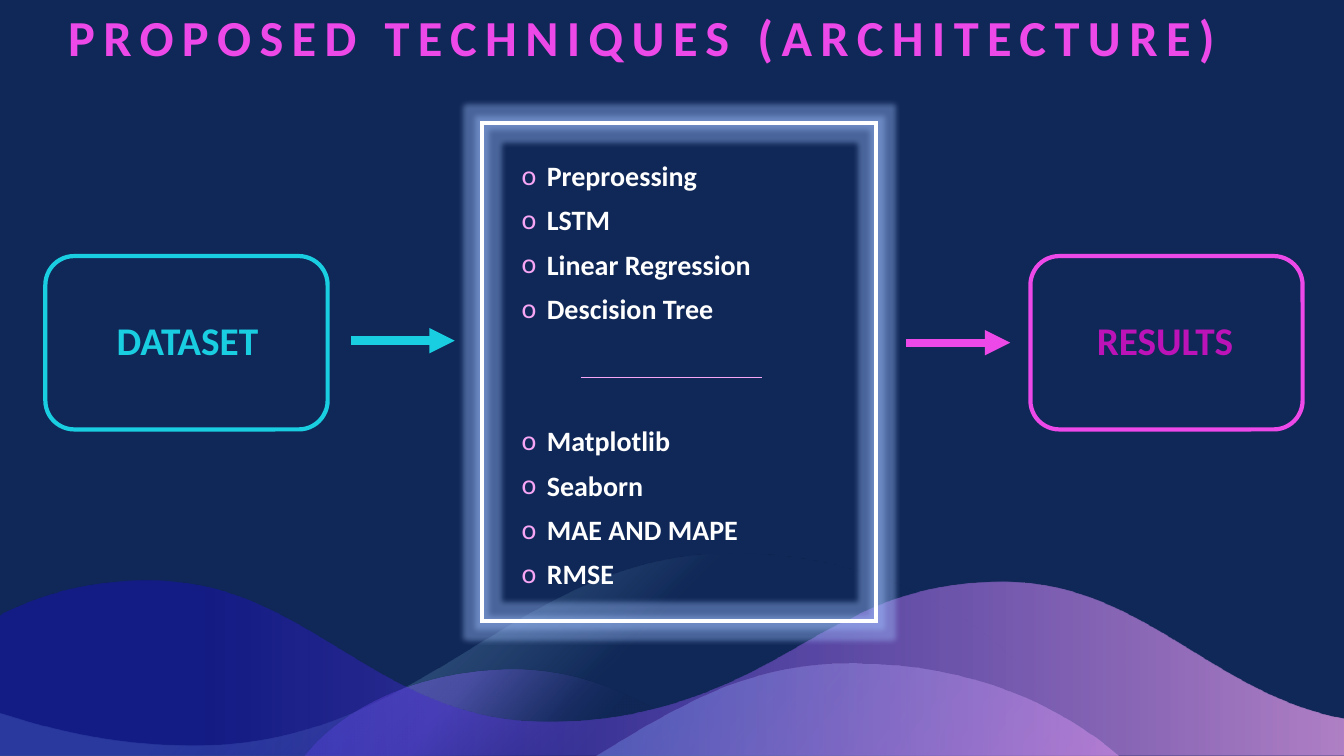
from dataclasses import dataclass

from pptx import Presentation
from pptx import util as u
from pptx.dml.color import RGBColor
from pptx.enum import shapes, text
from pptx.oxml import parse_xml
from pptx.oxml.ns import nsdecls, qn


@dataclass(frozen=True)
class Theme:
    font: str = "Calibri"
    background: str = "102857"
    white: str = "FFFFFF"
    cyan: str = "1ACEE2"
    magenta: str = "ED48E8"
    purple: str = "BB13B7"
    pink: str = "F6A6F4"
    blue: str = "180DC2"
    aqua: str = "64DFED"
    sky: str = "92CDF0"
    violet: str = "765FE1"
    glow: str = "A0C0FF"
    title_size: int = 36
    label_size: int = 28
    list_size: int = 20


@dataclass(frozen=True)
class Box:
    left: float
    top: float
    width: float
    height: float

    def emu(self):
        return [u.Inches(v) for v in (self.left, self.top, self.width, self.height)]

    def share(self, left, top, width, height):
        return Box(self.left + left * self.width, self.top + top * self.height,
                   width * self.width, height * self.height)


THEME = Theme()
SLIDE = Box(0, 0, 13.33, 7.5)
METHODS = ["Preproessing", "LSTM", "Linear Regression", "Descision Tree"]
TOOLS = ["Matplotlib", "Seaborn", "MAE AND MAPE", "RMSE"]
LINEAR = '<a:lin ang="{}" scaled="0"/>'
CORNER = '<a:path path="circle"><a:fillToRect l="100000" t="100000"/></a:path>'

# Each wave: start point, Bezier segments or line points, stops (position, colour, opacity), direction
WAVES = [
    ((7.23, 5.49),
     [(9.19, 5.48, 10.43, 6.65, 10.57, 7.39), (10.58, 7.5), (0, 7.5), (0, 7.07), (0.2, 7.13),
      (0.72, 7.29, 1.32, 7.4, 2.01, 7.39), (4.24, 7.35, 5.14, 5.5, 7.23, 5.49)],
     [(43, THEME.background, 50), (73, THEME.sky, 29)], CORNER),
    ((5.11, 6.64),
     [(6, 6.65, 6.57, 7.1, 7.24, 7.45), (7.34, 7.5), (3.02, 7.5), (3.08, 7.43),
      (3.43, 7.03, 4.14, 6.64, 5.11, 6.64)],
     [(33, THEME.background, 28), (66, THEME.violet, 46)], LINEAR.format(220 * 60000)),
    ((8.42, 6.58),
     [(9.6, 6.57, 10.51, 6.99, 11.09, 7.49), (11.1, 7.5), (5.9, 7.5), (6.15, 7.35),
      (6.82, 6.94, 7.51, 6.58, 8.42, 6.58)],
     [(0, THEME.aqua, 43), (100, THEME.pink, 53)], LINEAR.format(40 * 60000)),
    ((1.5, 5.76),
     [(3.04, 5.76, 3.71, 7.13, 5.36, 7.16), (6.9, 7.19, 7.81, 6.42, 8.34, 6.18), (8.38, 6.17),
      (8.48, 6.11), (8.87, 5.91, 9.36, 5.77, 9.94, 5.77), (11.29, 5.78, 11.97, 6.83, 13.22, 7.11),
      (13.33, 7.13), (13.33, 7.5), (0, 7.5), (0, 6.11), (0.03, 6.09),
      (0.43, 5.89, 0.92, 5.75, 1.5, 5.76)],
     [(0, THEME.pink, 69), (85, THEME.blue, 42)], LINEAR.format(180 * 60000)),
]


def rgb(colour):
    return RGBColor.from_string(colour)


def add_run(paragraph, words, size, colour):
    run = paragraph.add_run()
    run.text = words
    run.font.name, run.font.size, run.font.bold = THEME.font, u.Pt(size), True
    run.font.color.rgb = rgb(colour)
    return run


def place(placeholder, box, anchor):
    placeholder.left, placeholder.top, placeholder.width, placeholder.height = box.emu()
    frame = placeholder.text_frame
    frame.word_wrap = True
    frame.auto_size = text.MSO_AUTO_SIZE.NONE
    frame.vertical_anchor = anchor
    # Bring the text in front of what is already drawn
    placeholder.element.getparent().append(placeholder.element)
    return frame


def bend(wave, segments):
    """Turn the straight sides of the wave into Bezier curves."""
    outline = wave.element.spPr.find(".//" + qn("a:path"))
    for side in outline.findall(qn("a:lnTo")):
        outline.remove(side)
    close = outline.find(qn("a:close"))
    for segment in segments:
        tag = "lnTo" if len(segment) == 2 else "cubicBezTo"
        points = "".join(
            f'<a:pt x="{u.Inches(x) - wave.left}" y="{u.Inches(y) - wave.top}"/>'
            for x, y in zip(segment[::2], segment[1::2]))
        close.addprevious(parse_xml(f'<a:{tag} {nsdecls("a")}>{points}</a:{tag}>'))


def add_wave(slide, start, segments, stops, direction):
    builder = slide.shapes.build_freeform(u.Inches(start[0]), u.Inches(start[1]))
    builder.add_line_segments([(u.Inches(s[-2]), u.Inches(s[-1])) for s in segments])
    wave = builder.convert_to_shape()
    bend(wave, segments)
    wave.shadow.inherit = False
    wave.line.fill.background()
    wave.fill.background()
    colours = "".join(
        f'<a:gs pos="{position * 1000}"><a:srgbClr val="{colour}">'
        f'<a:alpha val="{opacity * 1000}"/></a:srgbClr></a:gs>'
        for position, colour, opacity in stops)
    properties = wave.element.spPr
    properties.replace(properties.find(qn("a:noFill")), parse_xml(
        f'<a:gradFill {nsdecls("a")} rotWithShape="1"><a:gsLst>{colours}</a:gsLst>'
        f'{direction}</a:gradFill>'))


def add_outline(slide, kind, box, colour):
    shape = slide.shapes.add_shape(kind, *box.emu())
    shape.shadow.inherit = False
    shape.fill.background()
    shape.line.color.rgb = rgb(colour)
    shape.line.width = u.Pt(3)
    return shape


def add_line(slide, left, right, y, colour, width, arrow=False):
    line = slide.shapes.add_connector(shapes.MSO_CONNECTOR.STRAIGHT,
                                      *[u.Inches(v) for v in (left, y, right, y)])
    line.line.color.rgb = rgb(colour)
    line.line.width = u.Pt(width)
    properties = line.element.spPr
    if arrow:
        properties.find(qn("a:ln")).append(
            parse_xml(f'<a:tailEnd {nsdecls("a")} type="triangle"/>'))
    properties.append(parse_xml(f'<a:effectLst {nsdecls("a")}/>'))


def add_title(slide, box):
    frame = place(slide.shapes.title, box, text.MSO_ANCHOR.BOTTOM)
    paragraph = frame.paragraphs[0]
    paragraph.alignment = text.PP_ALIGN.CENTER
    paragraph.line_spacing = 0.9
    run = add_run(paragraph, "PROPOSED TECHNIQUES (ARCHITECTURE)", THEME.title_size, THEME.magenta)
    run._r.get_or_add_rPr().set("spc", "600")


def add_stage(slide, box, label, label_box, outline, colour):
    add_outline(slide, shapes.MSO_SHAPE.ROUNDED_RECTANGLE, box, outline)
    frame = slide.shapes.add_textbox(*label_box.emu()).text_frame
    frame.word_wrap = True
    add_run(frame.paragraphs[0], label, THEME.label_size, colour)


def add_techniques(slide, box):
    # Glowing frame with square corners
    panel = add_outline(slide, shapes.MSO_SHAPE.RECTANGLE, box, THEME.white)
    properties = panel.element.spPr
    properties.find(qn("a:ln")).append(parse_xml(f'<a:miter {nsdecls("a")} lim="800000"/>'))
    properties.find(qn("a:effectLst")).append(parse_xml(
        f'<a:glow {nsdecls("a")} rad="{u.Pt(8)}"><a:srgbClr val="{THEME.glow}">'
        '<a:alpha val="40000"/></a:srgbClr></a:glow>'))
    # Divider between methods and tools
    divider = box.share(0.25, 0.51, 0.46, 0)
    add_line(slide, divider.left, divider.left + divider.width, divider.top, THEME.pink, 0.5)
    # Bulleted list, with a wide gap above the tools
    frame = place(slide.placeholders[1], box.share(0.075, 0.069, 0.82, 1), text.MSO_ANCHOR.TOP)
    for index, item in enumerate(METHODS + TOOLS):
        paragraph = frame.add_paragraph() if index else frame.paragraphs[0]
        paragraph.line_spacing = 0.9
        paragraph.space_before = u.Pt(73 if index == len(METHODS) else 10)
        properties = paragraph._p.get_or_add_pPr()
        properties.set("marL", str(u.Inches(0.25)))
        properties.set("indent", str(-u.Inches(0.25)))
        for bullet in (f'<a:buClr {nsdecls("a")}><a:srgbClr val="{THEME.pink}"/></a:buClr>',
                       f'<a:buFont {nsdecls("a")} typeface="{THEME.font}"/>',
                       f'<a:buChar {nsdecls("a")} char="o"/>'):
            properties.append(parse_xml(bullet))
        add_run(paragraph, item, THEME.list_size, THEME.white)


def main():
    presentation = Presentation()
    presentation.slide_width, presentation.slide_height = SLIDE.emu()[2:]
    slide = presentation.slides.add_slide(presentation.slide_layouts[1])
    slide.background.fill.solid()
    slide.background.fill.fore_color.rgb = rgb(THEME.background)

    for wave in WAVES:
        add_wave(slide, *wave)
    add_title(slide, Box(0.04, 0.11, 12.66, 0.61))

    # Flow from left to right
    add_stage(slide, Box(0.45, 2.54, 2.8, 1.72), "DATASET", Box(1.06, 3.09, 2.53, 0.57),
              THEME.cyan, THEME.cyan)
    add_line(slide, 3.48, 4.51, 3.38, THEME.cyan, 6, arrow=True)
    add_techniques(slide, Box(4.78, 1.22, 3.91, 4.94))
    add_line(slide, 8.99, 10.02, 3.4, THEME.magenta, 6, arrow=True)
    add_stage(slide, Box(10.22, 2.54, 2.7, 1.72), "RESULTS", Box(10.78, 3.09, 1.58, 0.57),
              THEME.magenta, THEME.purple)

    presentation.save("out.pptx")


if __name__ == "__main__":
    main()
